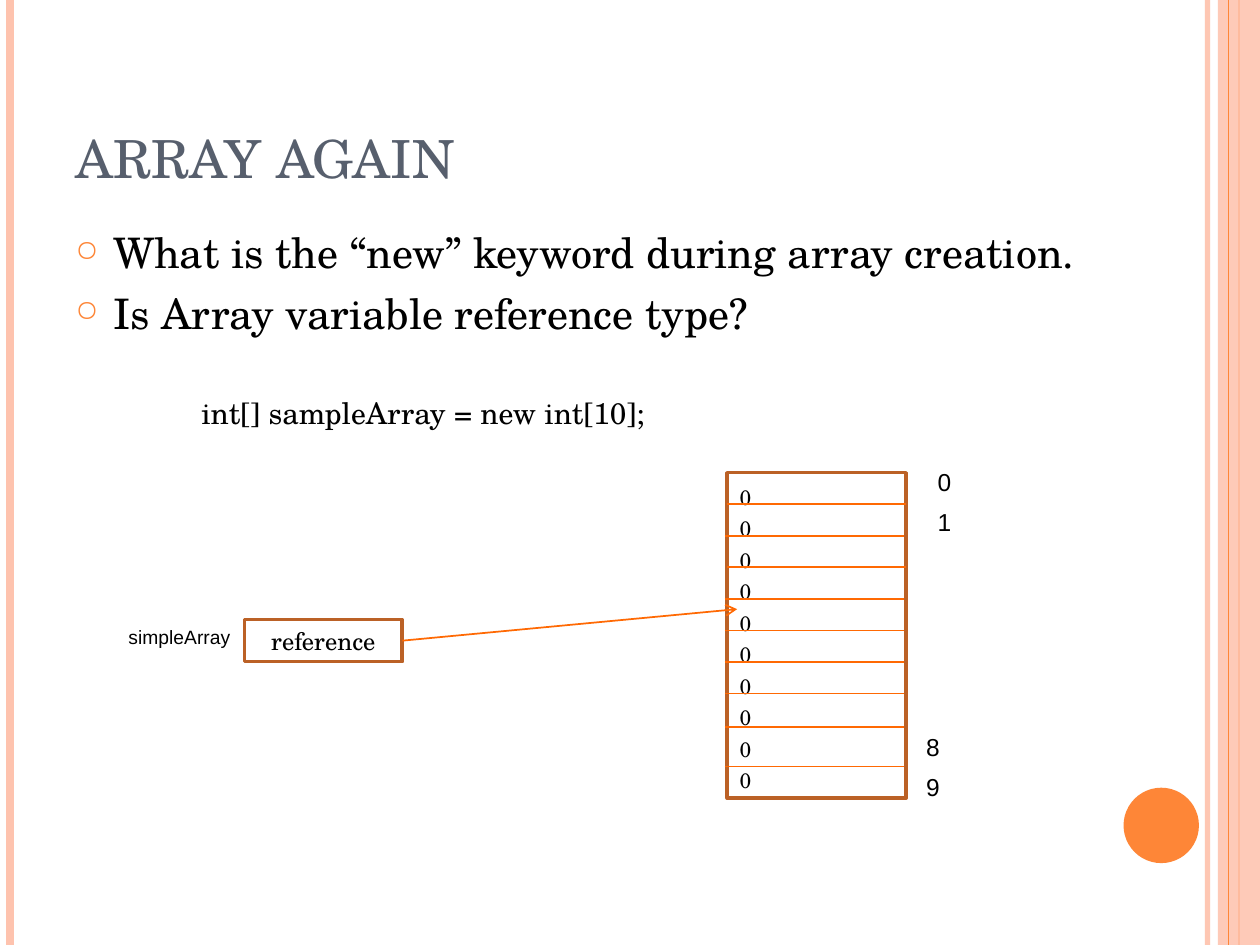
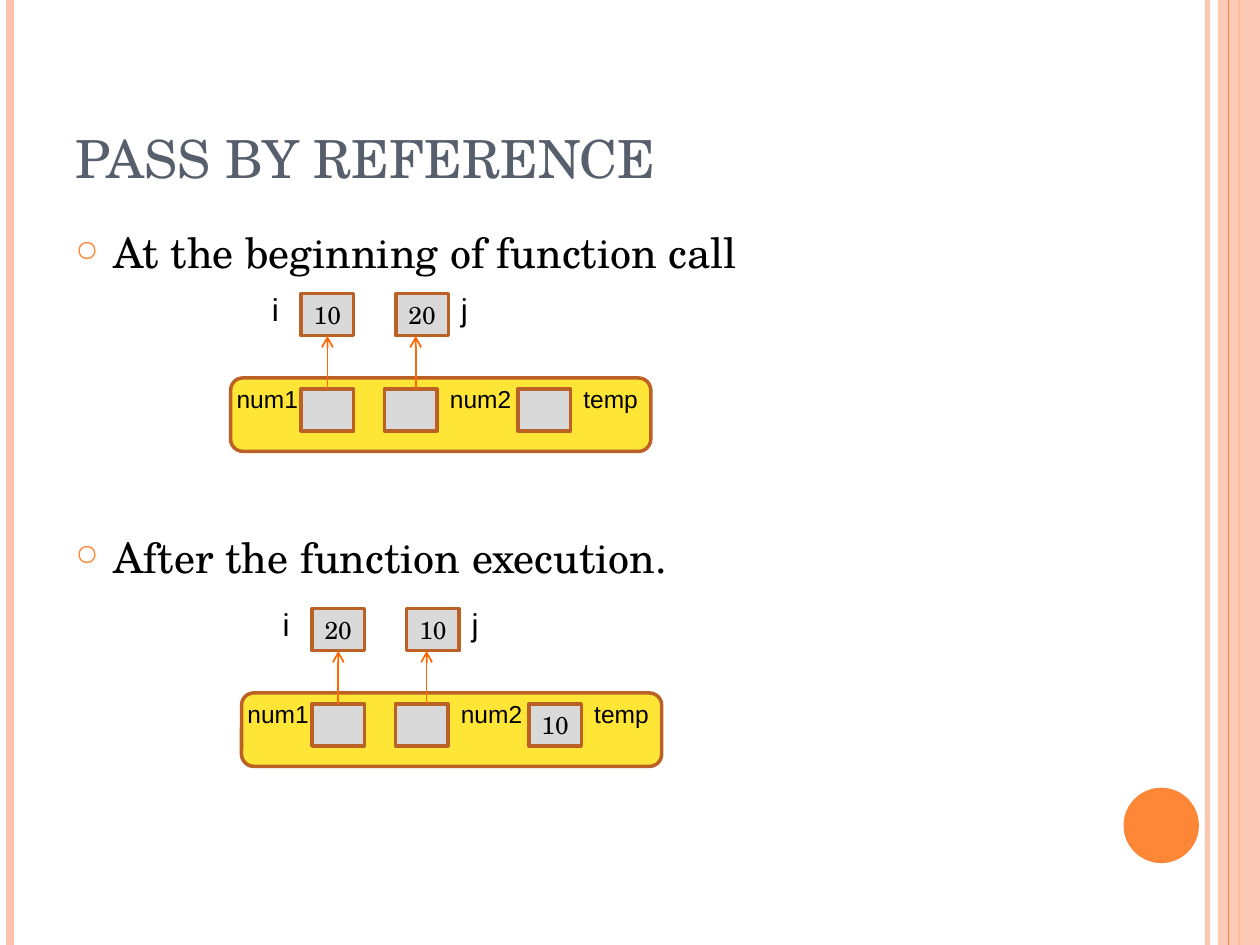
import lxml.etree
import pptx
import pptx.dml.color
import pptx.enum.shapes
import pptx.enum.text
import pptx.oxml.ns
import pptx.util

Cm = pptx.util.Cm
Pt = pptx.util.Pt
SHAPE = pptx.enum.shapes.MSO_SHAPE
ALIGN = pptx.enum.text.PP_ALIGN
ANCHOR = pptx.enum.text.MSO_ANCHOR
AUTO_SIZE = pptx.enum.text.MSO_AUTO_SIZE

COLORS = {
    "title": "575F6D",
    "text": "000000",
    "orange": "FE8637",
    "peach": "FEC3AE",
    "outline": "BB6126",
    "arrow": "FF6903",
    "cell": "D9D9D9",
    "frame": "FFE636",
}
SERIF, SANS = "TeX Gyre Schola", "Arial"
SLIDE_WIDTH, SLIDE_HEIGHT = 25.4, 19.05
CELL_WIDTH, CELL_HEIGHT = 1.06, 0.85


def rgb(name):
    """Return the named colour."""
    return pptx.dml.color.RGBColor.from_string(COLORS[name])


def add_xml(parent, tag, **attributes):
    """Append a drawing element to its parent."""
    return lxml.etree.SubElement(parent, pptx.oxml.ns.qn(tag), **attributes)


def set_opacity(fill_owner, percent):
    """Make the solid colour inside an element partly transparent."""
    color = next(fill_owner.iter(pptx.oxml.ns.qn("a:srgbClr")))
    add_xml(color, "a:alpha", val=str(percent * 1000))


def set_font(paragraph, size, face=SERIF, color="text"):
    """Set the font of a whole paragraph."""
    paragraph.font.size = Pt(size)
    paragraph.font.name = face
    paragraph.font.color.rgb = rgb(color)


def add_line(slide, start, end, color="arrow", width=1, arrow=False):
    """Draw a straight line between two points in centimetres."""
    line = slide.shapes.add_connector(
        pptx.enum.shapes.MSO_CONNECTOR.STRAIGHT, *map(Cm, start + end))
    line.line.color.rgb = rgb(color)
    line.line.width = Pt(width)
    if arrow:
        add_xml(line._element.spPr.get_or_add_ln(), "a:tailEnd", type="arrow")
    add_xml(line._element.spPr, "a:effectLst")
    return line


def add_box(slide, box, fill=None, outline="outline", kind=SHAPE.RECTANGLE):
    """Draw a flat shape in a box given in centimetres."""
    shape = slide.shapes.add_shape(kind, *map(Cm, box))
    shape.shadow.inherit = False
    if fill:
        shape.fill.solid()
        shape.fill.fore_color.rgb = rgb(fill)
    else:
        shape.fill.background()
    if outline:
        shape.line.color.rgb = rgb(outline)
        shape.line.width = Pt(2)
    else:
        shape.line.fill.background()
    return shape


def add_value_box(slide, box, value="", fill="cell"):
    """Draw a memory cell with its value in the middle."""
    cell = add_box(slide, box, fill)
    if value:
        cell.text_frame.text = value
        cell.text_frame.vertical_anchor = ANCHOR.MIDDLE
        cell.text_frame.word_wrap = False
        paragraph = cell.text_frame.paragraphs[0]
        paragraph.alignment = ALIGN.CENTER
        set_font(paragraph, 14)
    return cell


def add_label(slide, box, lines, size):
    """Write label lines beside the part they name."""
    frame = slide.shapes.add_textbox(*map(Cm, box)).text_frame
    frame.word_wrap = False
    frame.auto_size = AUTO_SIZE.SHAPE_TO_FIT_TEXT
    frame.text = "\n".join(lines)
    for index, paragraph in enumerate(frame.paragraphs):
        if index:
            paragraph.space_before = Pt(6)
        set_font(paragraph, size, SANS)


def add_side_bands(slide):
    """Draw the stripes at both edges and the corner disc."""
    def stripe(x, color, width):
        """Draw one full-height stripe."""
        return add_line(slide, (x, 0), (x, SLIDE_HEIGHT), color, width)

    set_opacity(stripe(24.34, "peach", 3)._element, 93)
    stripe(0.21, "peach", 4.5)
    stripe(24.98, "orange", 1.5)
    band = add_box(slide, (24.55, 0, 0.85, SLIDE_HEIGHT), "peach", None)
    set_opacity(band._element, 87)
    stripe(24.77, "orange", 0.75)
    add_box(slide, (22.65, 15.88, 1.52, 1.52), "orange", None, SHAPE.OVAL)


def add_titled_slide(deck, title):
    """Add a slide with the shared bands and title style."""
    slide = deck.slides.add_slide(deck.slide_layouts[5])
    add_side_bands(slide)
    heading = slide.shapes.title
    heading.left, heading.top, heading.width, heading.height = map(
        Cm, (1.27, 0.76, 20.75, 3.18))
    heading.text_frame.text = title
    heading.text_frame.vertical_anchor = ANCHOR.BOTTOM
    heading.text_frame.auto_size = AUTO_SIZE.NONE
    paragraph = heading.text_frame.paragraphs[0]
    paragraph.alignment = ALIGN.LEFT
    set_font(paragraph, 30, color="title")
    return slide


def add_points(slide, points, gap, code=None):
    """Write the bulleted points and an optional indented code line."""
    frame = slide.shapes.add_textbox(
        *map(Cm, (1.27, 4.45, 20.75, 13.54))).text_frame
    frame.word_wrap = True
    frame.text = "\n".join(points)
    for index, paragraph in enumerate(frame.paragraphs):
        properties = paragraph._p.get_or_add_pPr()
        properties.set("marL", str(Cm(0.76)))
        properties.set("indent", str(Cm(-0.76)))
        bullet_color = add_xml(properties, "a:buClr")
        add_xml(bullet_color, "a:srgbClr", val=COLORS["orange"])
        add_xml(properties, "a:buSzPct", val="70000")
        add_xml(properties, "a:buChar", char="○")
        if index:
            paragraph.space_before = Pt(gap)
        set_font(paragraph, 24)
    if code:
        paragraph = frame.add_paragraph()
        paragraph.text = code
        paragraph._p.get_or_add_pPr().set("marL", str(Cm(2.54)))
        paragraph.space_before = Pt(32.4)
        set_font(paragraph, 17)


def add_reference(slide, left, top):
    """Draw the named variable that holds the reference."""
    add_label(slide, (left, top, 3.02, 0.74), ["simpleArray"], 11)
    return add_value_box(slide, (left + 2.59, top, 3.18, 0.85), "reference", None)


def add_array(slide, left, top):
    """Draw the array with its ten zeros, row rules and index labels."""
    width, height = 3.61, 6.56
    array = add_box(slide, (left, top, width, height))
    frame = array.text_frame
    frame.text = "\n".join(["0"] * 10)
    frame.vertical_anchor = ANCHOR.MIDDLE
    for paragraph in frame.paragraphs:
        paragraph.alignment = ALIGN.LEFT
        paragraph.line_spacing = 1.25
        set_font(paragraph, 12)
    even_rules = [4.45 * row / 7 for row in range(1, 8)]
    for row, offset in enumerate(even_rules + [5.13, 5.92]):
        start = left if row in (0, 2) else left - 0.05
        add_line(slide, (start, top + offset), (start + width, top + offset))
    add_label(slide, (left + 3.99, top - 0.23, 0.79, 1.65), ["0", "1"], 14)
    add_label(slide, (left + 3.76, top + 5.1, 0.79, 1.65), ["8", "9"], 14)


def add_call_memory(slide, left, top, i, j, temp=""):
    """Draw the caller's values above the frame of the called function."""
    def cell(x, y, value=""):
        """Draw one cell at an offset in the region."""
        return add_value_box(
            slide, (left + x, top + y, CELL_WIDTH, CELL_HEIGHT), value)

    def label(x, y, width, text, size):
        """Write one name at an offset in the region."""
        add_label(slide, (left + x, top + y, width, 0.86), [text], size)

    frame_top, pointer_top = 1.9, 2.12
    i_cell = cell(1.42, 0.2, i)
    cell(3.33, 0.2, j)
    label(0.58, 0, 0.64, "i", 18)
    label(4.39, 0, 0.64, "j", 18)
    add_box(slide, (left, top + frame_top, 8.47, 1.48), "frame",
            kind=SHAPE.ROUNDED_RECTANGLE)
    num1_cell = cell(1.42, pointer_top)
    cell(3.1, pointer_top)
    cell(5.79, pointer_top, temp)
    label(-0.13, frame_top, 1.75, "num1", 14)
    label(4.17, frame_top, 1.75, "num2", 14)
    label(6.86, frame_top, 1.7, "temp", 14)
    for x in (1.95, 3.73):
        pointer = add_line(slide, (left + x, top + pointer_top),
                           (left + x, top + 1.05), arrow=True)
        if x == 1.95:
            pointer.begin_connect(num1_cell, 0)
            pointer.end_connect(i_cell, 2)


def build_array_slide(deck):
    """Show an array variable as a reference to its elements."""
    slide = add_titled_slide(deck, "ARRAY AGAIN")
    add_points(slide, ["What is the “new” keyword during array creation.",
                       "Is Array variable reference type?"], 6,
               "int[] sampleArray = new int[10];")
    reference = add_reference(slide, 2.34, 12.49)
    add_array(slide, 14.66, 9.53)
    pointer = add_line(slide, (8.11, 12.92), (14.86, 12.28), arrow=True)
    pointer.begin_connect(reference, 3)


def build_pass_by_reference_slide(deck):
    """Compare memory before and after a call by reference."""
    slide = add_titled_slide(deck, "PASS BY REFERENCE")
    add_points(slide, ["At the beginning of function call",
                       "After the function execution."], 145)
    add_call_memory(slide, 4.65, 5.72, "10", "20")
    add_call_memory(slide, 4.87, 12.07, "20", "10", "10")


def main():
    """Build the deck and save it."""
    deck = pptx.Presentation()
    deck.slide_width, deck.slide_height = Cm(SLIDE_WIDTH), Cm(SLIDE_HEIGHT)
    build_array_slide(deck)
    build_pass_by_reference_slide(deck)
    deck.save("out.pptx")


if __name__ == "__main__":
    main()
